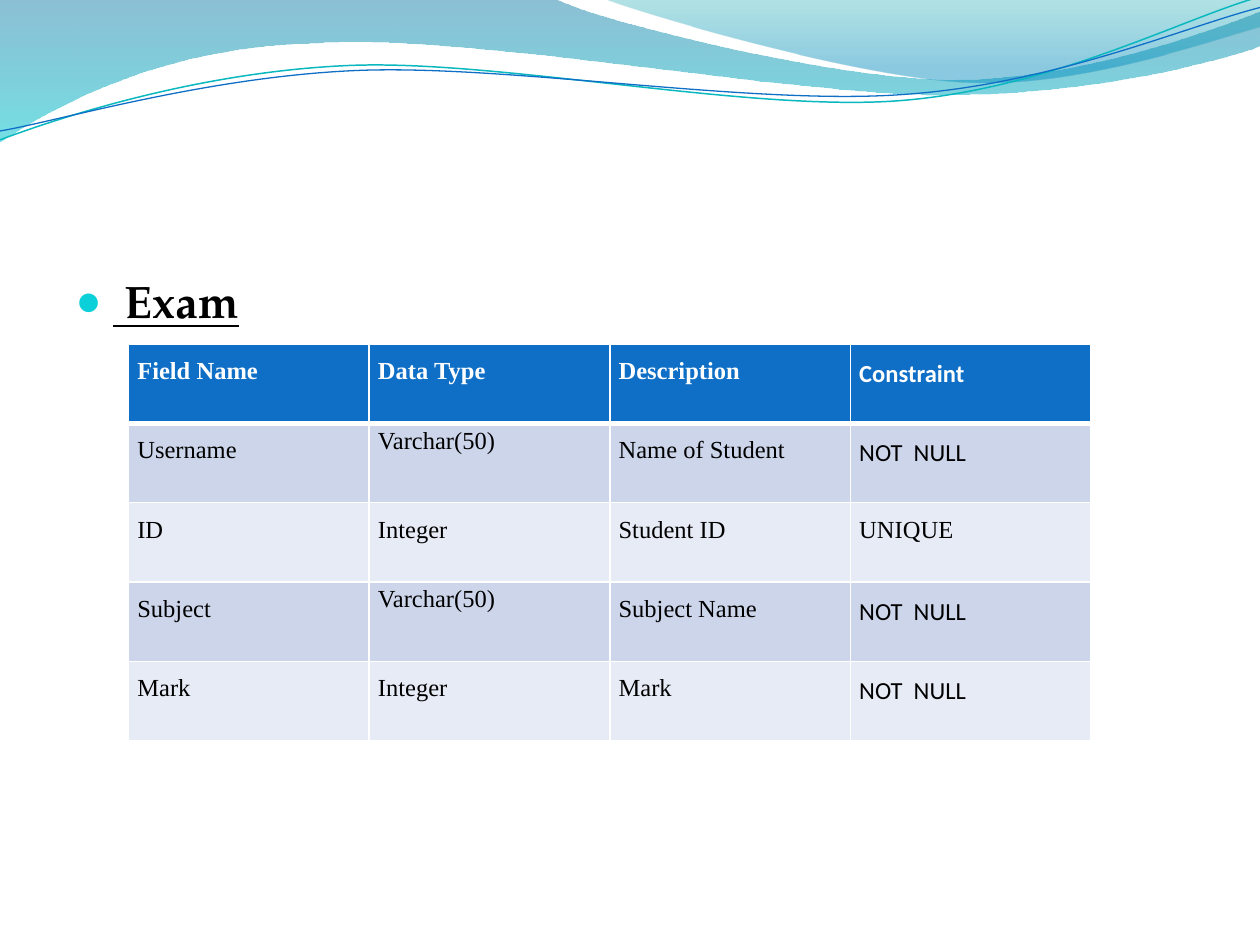
from math import cos, radians, sin

from lxml import etree
from pptx import Presentation
from pptx.dml.color import RGBColor
from pptx.enum.text import MSO_ANCHOR, MSO_AUTO_SIZE, PP_ALIGN
from pptx.oxml.ns import qn
from pptx.util import Inches, Pt

JUSTIFY, LEFT = PP_ALIGN.JUSTIFY, PP_ALIGN.LEFT
TOP, NO_FIT = MSO_ANCHOR.TOP, MSO_AUTO_SIZE.NONE

THEME = {
    "heading": {"name": "TeX Gyre Pagella", "size": Pt(26), "bold": True, "underline": True},
    "cell": {"name": "Times New Roman", "size": Pt(14)},
    "alt_font": "Calibri",
    "text": "000000", "header_text": "FFFFFF", "border": "FFFFFF",
    "bullet": "0BD0D9", "header": "0F6FC6", "bands": ("CCD5EA", "E7EBF5"),
}


def add_wave(shapes, start, parts, closed, tilt=0, center=(0, 0)):
    """Outline of points (x, y) and cubic curves (x1, y1, x2, y2, x, y), in inches."""
    turn, (cx, cy) = radians(-tilt), center

    def place(x, y):
        dx, dy = x - cx, y - cy
        return (Inches(cx + dx * cos(turn) - dy * sin(turn)),
                Inches(cy + dx * sin(turn) + dy * cos(turn)))

    first = place(*start)
    ends = [place(*part[-2:]) for part in parts]
    builder = shapes.build_freeform(*first, scale=1.0)
    builder.add_line_segments(ends, close=closed)
    sp = builder.convert_to_shape()
    sp.shadow.inherit = False
    left, top = (min(axis) for axis in zip(first, *ends))
    # Turn the segments that have control points into curves
    for segment, part in zip(list(sp._element.iter(qn("a:lnTo"))), parts):
        if len(part) == 6:
            segment.tag = qn("a:cubicBezTo")
            for k, control in enumerate((part[:2], part[2:4])):
                x, y = place(*control)
                pt = etree.Element(qn("a:pt"), x=str(x - left), y=str(y - top))
                segment.insert(k, pt)
    sp.rotation = tilt
    return sp


def style_run(p, text, font, color):
    r = p.add_run()
    r.text = text
    for name, value in font.items():
        setattr(r.font, name, value)
    r.font.color.rgb = RGBColor.from_string(color)


prs = Presentation()
prs.slide_width, prs.slide_height = Inches(10), Inches(7.5)
W, H = prs.slide_width, prs.slide_height
s = prs.slides.add_slide(prs.slide_layouts[1])
title, body = s.placeholders
title._element.getparent().remove(title._element)

# Gradient waves: start, outline, stops (position, colour, opacity in percent)
BANDS = [
    ((0, 0), [(4.4, -0.01), (4.76, 0.17, 6.64, 0.63, 7.58, 0.63),
              (8.53, 0.63, 9.58, 0.26, 10, 0.09), (10.01, 0.36),
              (9.83, 0.44, 8.7, 0.76, 7.46, 0.75), (6.22, 0.75, 3.82, 0.28, 2.57, 0.34),
              (1.29, 0.36, 0.46, 0.83, -0.01, 1.13)],
     [(0, "0074A1", 45), (1, "00C6CF", 55)]),
    ((4.79, -0.01), [(5.09, 0.11, 6.82, 0.62, 7.69, 0.65),
                     (8.56, 0.69, 9.61, 0.32, 10, 0.21), (10, 0)],
     [(0, "00A1A9", 30), (0.8, "008BBF", 45)]),
]
for start, parts, stops in BANDS:
    sp = add_wave(s.shapes, start, parts, True)
    sp.line.fill.background()
    sp.fill.gradient()
    sp.fill.gradient_angle = 270
    for stop, (position, color, _) in zip(sp.fill.gradient_stops, stops):
        stop.position = position
        stop.color.rgb = RGBColor.from_string(color)
    colors = sp._element.spPr.find(qn("a:gradFill")).iter(qn("a:srgbClr"))
    for clr, (_, _, opacity) in zip(colors, stops):
        etree.SubElement(clr, qn("a:alpha"), val=str(opacity * 1000))

# Thin tilted wave lines: start, curves, centre, colour, width
LINES = [
    ((0, 1.11), [(0.48, 0.93, 1.58, 0.57, 2.77, 0.52), (3.95, 0.47, 5.93, 0.89, 7.13, 0.8),
                 (8.33, 0.71, 9.38, 0.15, 9.98, -0.02)], (4.99, 0.58), "0AB8BF", 0.85),
    ((0, 1.04), [(0.47, 0.96, 1.64, 0.61, 2.83, 0.56), (4.03, 0.51, 5.97, 0.84, 7.17, 0.75),
                 (8.36, 0.67, 9.41, 0.21, 10, 0.06)], (5, 0.59), "0F6FC6", 0.75),
]
for start, parts, center, color, width in LINES:
    sp = add_wave(s.shapes, start, parts, False, 357.3, center)
    sp.fill.background()
    sp.line.color.rgb = RGBColor.from_string(color)
    sp.line.width = Pt(width)

# Bulleted heading in the body placeholder
s.shapes._spTree.append(body._element)
body.left, body.top, body.width, body.height = Inches(0.5), Inches(2.12), int(W * 0.9), int(H * 0.64)
tf = body.text_frame
tf.auto_size, tf.vertical_anchor = NO_FIT, TOP
p = tf.paragraphs[0]
p.space_before = Pt(4.5)
style_run(p, " Exam", THEME["heading"], THEME["text"])
pPr = p._p.get_or_add_pPr()
pPr.set("marL", str(Inches(0.3)))
pPr.set("indent", str(Inches(-0.3)))
etree.SubElement(etree.SubElement(pPr, qn("a:buClr")), qn("a:srgbClr"), val=THEME["bullet"])
etree.SubElement(pPr, qn("a:buSzPct"), val="95000")
etree.SubElement(pPr, qn("a:buChar"), char="●")

# Field table
ROWS = [
    ("Field Name", "Data Type", "Description", "Constraint"),
    ("Username", "Varchar(50)", "Name of Student", "NOT  NULL"),
    ("ID", "Integer", "Student ID", "UNIQUE"),
    ("Subject", "Varchar(50)", "Subject Name", "NOT  NULL"),
    ("Mark", "Integer", "Mark", "NOT  NULL"),
]
COL_W, ROW_H = Inches(1.91), Inches(0.63)
frame = s.shapes.add_table(len(ROWS), len(ROWS[0]), Inches(1.02), Inches(2.73),
                           COL_W * len(ROWS[0]), ROW_H * len(ROWS))
table = frame.table
for i, row in enumerate(ROWS):
    header = i == 0
    fill = THEME["header"] if header else THEME["bands"][(i - 1) % 2]
    for j, text in enumerate(row):
        cell = table.cell(i, j)
        cell.margin_left = cell.margin_right = Inches(0.07)
        cell.margin_top = cell.margin_bottom = 0
        p = cell.text_frame.paragraphs[0]
        tight = text.startswith("Varchar")
        p.alignment, p.line_spacing = (LEFT, 1.15) if tight else (JUSTIFY, 1.5)
        font = dict(THEME["cell"], bold=header)
        if text in ("Constraint", "NOT  NULL"):
            font["name"] = THEME["alt_font"]
        style_run(p, text, font, THEME["header_text" if header else "text"])
        # Borders come before the fill in the cell properties
        tcPr = cell._tc.get_or_add_tcPr()
        for side in "LRTB":
            thick = (header and side == "B") or (i == 1 and side == "T")
            ln = etree.SubElement(tcPr, qn(f"a:ln{side}"), w=str(Pt(3 if thick else 1)))
            solid = etree.SubElement(ln, qn("a:solidFill"))
            etree.SubElement(solid, qn("a:srgbClr"), val=THEME["border"])
        cell.fill.solid()
        cell.fill.fore_color.rgb = RGBColor.from_string(fill)

prs.save("out.pptx")
